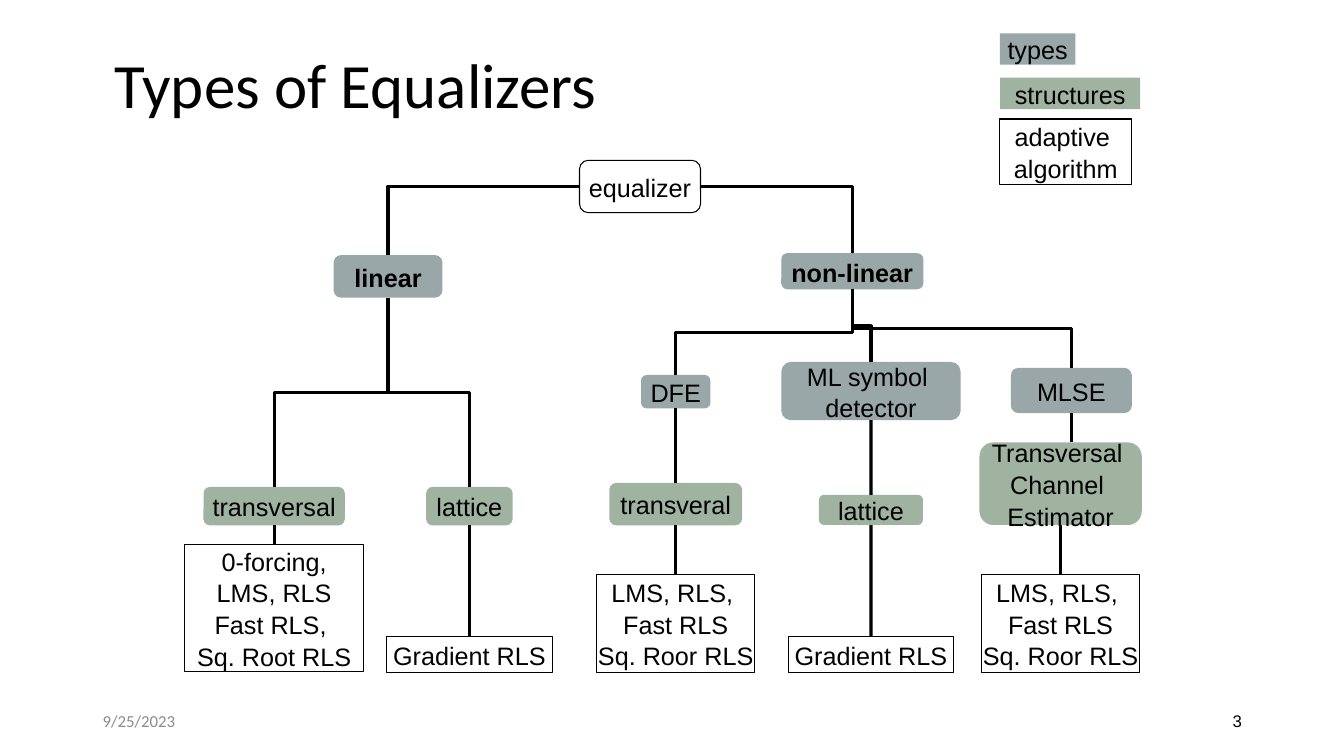
from lxml.etree import SubElement
from pptx import Presentation
from pptx.dml.color import RGBColor
from pptx.enum.shapes import MSO_CONNECTOR, MSO_SHAPE
from pptx.enum.text import MSO_ANCHOR, PP_ALIGN
from pptx.oxml.ns import qn
from pptx.util import Cm, Pt

TYPE = "9AA7A8"
STRUCTURE = "9FB3A0"
WHITE = "FFFFFF"
BLACK = "000000"
TOP, LEFT, BOTTOM, RIGHT = range(4)


def color(value):
    return RGBColor.from_string(value)


def write_lines(text_frame, lines, size, font="Arial", ink=BLACK, bold=False,
                align=PP_ALIGN.LEFT, spacing=1.0):
    for index, line in enumerate(lines):
        paragraph = text_frame.paragraphs[0] if index == 0 else text_frame.add_paragraph()
        paragraph.text = line
        paragraph.alignment = align
        paragraph.line_spacing = spacing
        paragraph.font.name = font
        paragraph.font.size = Pt(size)
        paragraph.font.bold = bold
        paragraph.font.color.rgb = color(ink)


def add_label(slide, left, top, width, height, text, size, anchor=MSO_ANCHOR.MIDDLE, **style):
    box = slide.shapes.add_textbox(Cm(left), Cm(top), Cm(width), Cm(height))
    box.text_frame.word_wrap = True
    box.text_frame.vertical_anchor = anchor
    write_lines(box.text_frame, [text], size, **style)


def add_box(slide, center, top, width, height, lines, fill=WHITE,
            kind=MSO_SHAPE.ROUNDED_RECTANGLE, bold=False):
    shape = slide.shapes.add_shape(kind, Cm(center - width / 2), Cm(top), Cm(width), Cm(height))
    shape.shadow.inherit = False
    shape.fill.solid()
    shape.fill.fore_color.rgb = color(fill)
    if fill == WHITE:
        shape.line.color.rgb = color(BLACK)
        shape.line.width = Pt(0.75)
    else:
        shape.line.fill.background()
    frame = shape.text_frame
    frame.margin_left = frame.margin_right = frame.margin_top = frame.margin_bottom = 0
    frame.word_wrap = False
    frame.vertical_anchor = MSO_ANCHOR.MIDDLE
    write_lines(frame, lines, 18, bold=bold, align=PP_ALIGN.CENTER, spacing=1.05)
    return shape


def add_algorithms(slide, center, top, width, height, lines):
    return add_box(slide, center, top, width, height, lines, kind=MSO_SHAPE.RECTANGLE)


def add_link(slide, kind, parent, side, child=None):
    connector = slide.shapes.add_connector(kind, 0, 0, 0, 0)
    connector.line.color.rgb = color(BLACK)
    connector.line.width = Pt(2.25)
    SubElement(connector._element.spPr, qn("a:effectLst"))
    connector.begin_connect(parent, side)
    if child is not None:
        connector.end_connect(child, TOP)
    return connector


def link_straight(slide, *chain):
    for parent, child in zip(chain, chain[1:]):
        add_link(slide, MSO_CONNECTOR.STRAIGHT, parent, BOTTOM, child)


def link_corner(slide, parent, side, child):
    connector = add_link(slide, MSO_CONNECTOR.ELBOW, parent, side, child)
    connector._element.spPr.find(qn("a:prstGeom")).set("prst", "bentConnector2")


def link_branch(slide, parent, child):
    connector = add_link(slide, MSO_CONNECTOR.ELBOW, parent, BOTTOM, child)
    start_x, end_x = connector.begin_x, connector.end_x
    start_y, end_y = connector.begin_y, connector.end_y
    across, down = abs(end_x - start_x), end_y - start_y
    connector.left = (start_x + end_x - down) // 2
    connector.top = (start_y + end_y - across) // 2
    connector.width, connector.height = down, across
    goes_right = end_x > start_x
    transform = connector._element.spPr.find(qn("a:xfrm"))
    transform.set("rot", "16200000" if goes_right else "5400000")
    transform.set("flipH", "1" if goes_right else "0")
    transform.set("flipV", "0")


def add_legend(slide):
    add_box(slide, 26.15, 0.84, 1.9, 0.79, ["types"], TYPE, MSO_SHAPE.RECTANGLE)
    add_box(slide, 26.97, 1.96, 3.53, 0.79, ["structures"], STRUCTURE, MSO_SHAPE.RECTANGLE)
    add_algorithms(slide, 26.86, 3, 3.33, 1.65, ["adaptive ", "algorithm"])


def add_linear_tree(slide, equalizer):
    linear = add_box(slide, 9.78, 6.43, 2.74, 1.07, ["linear"], TYPE, bold=True)
    transversal = add_box(slide, 6.91, 12.27, 3.56, 0.97, ["transversal"], STRUCTURE)
    lattice = add_box(slide, 11.83, 12.27, 2.18, 0.97, ["lattice"], STRUCTURE)
    forcing = add_algorithms(slide, 6.91, 13.72, 4.5, 3.2,
                             ["0-forcing,", "LMS, RLS", "Fast RLS, ", "Sq. Root RLS"])
    gradient = add_algorithms(slide, 11.83, 16.05, 4.17, 0.89, ["Gradient RLS"])
    link_corner(slide, equalizer, LEFT, linear)
    link_branch(slide, linear, transversal)
    link_branch(slide, linear, lattice)
    link_straight(slide, transversal, forcing)
    link_straight(slide, lattice, gradient)


def add_non_linear_tree(slide, equalizer):
    recursive = ["LMS, RLS, ", "Fast RLS", "Sq. Roor RLS"]
    non_linear = add_box(slide, 21.48, 6.38, 3.58, 0.91, ["non-linear"], TYPE, bold=True)
    feedback = add_box(slide, 17.03, 9.45, 1.75, 0.84, ["DFE"], TYPE)
    detector = add_box(slide, 21.95, 9.12, 4.52, 1.47, ["ML symbol ", "detector"], TYPE)
    sequence = add_box(slide, 27, 9.27, 3.05, 1.14, ["MLSE"], TYPE)
    transversal = add_box(slide, 17.03, 12.17, 3.35, 1.07, ["transveral"], STRUCTURE)
    lattice = add_box(slide, 21.95, 12.47, 2.62, 0.76, ["lattice"], STRUCTURE)
    estimator = add_box(slide, 26.73, 11.15, 4.09, 2.08,
                        ["Transversal ", "Channel ", "Estimator"], STRUCTURE)
    feedback_algorithms = add_algorithms(slide, 17.03, 14.48, 3.99, 2.46, recursive)
    gradient = add_algorithms(slide, 21.95, 16.05, 4.17, 0.89, ["Gradient RLS"])
    sequence_algorithms = add_algorithms(slide, 26.73, 14.48, 3.99, 2.46, recursive)
    link_corner(slide, equalizer, RIGHT, non_linear)
    for child in (feedback, detector, sequence):
        link_branch(slide, non_linear, child)
    link_straight(slide, feedback, transversal, feedback_algorithms)
    link_straight(slide, detector, lattice, gradient)
    link_straight(slide, estimator, sequence_algorithms)
    channel_link = add_link(slide, MSO_CONNECTOR.STRAIGHT, sequence, BOTTOM)
    channel_link.end_x = channel_link.begin_x
    channel_link.end_y = estimator.top


def main():
    presentation = Presentation()
    presentation.slide_width = Cm(33.87)
    presentation.slide_height = Cm(19.05)
    slide = presentation.slides.add_slide(presentation.slide_layouts[6])
    add_label(slide, 2.64, 1.02, 16.94, 2.18, "Types of Equalizers", 45,
              anchor=MSO_ANCHOR.TOP, font="Calibri")
    add_legend(slide)
    equalizer = add_box(slide, 16.13, 4.04, 3.05, 1.32, ["equalizer"])
    add_linear_tree(slide, equalizer)
    add_non_linear_tree(slide, equalizer)
    add_label(slide, 2.34, 17.65, 7.62, 1.02, "9/25/2023", 12, font="Calibri", ink="8C8C8C")
    add_label(slide, 23.93, 17.65, 7.62, 1.02, "3", 12, align=PP_ALIGN.RIGHT)
    presentation.save("out.pptx")


if __name__ == "__main__":
    main()
